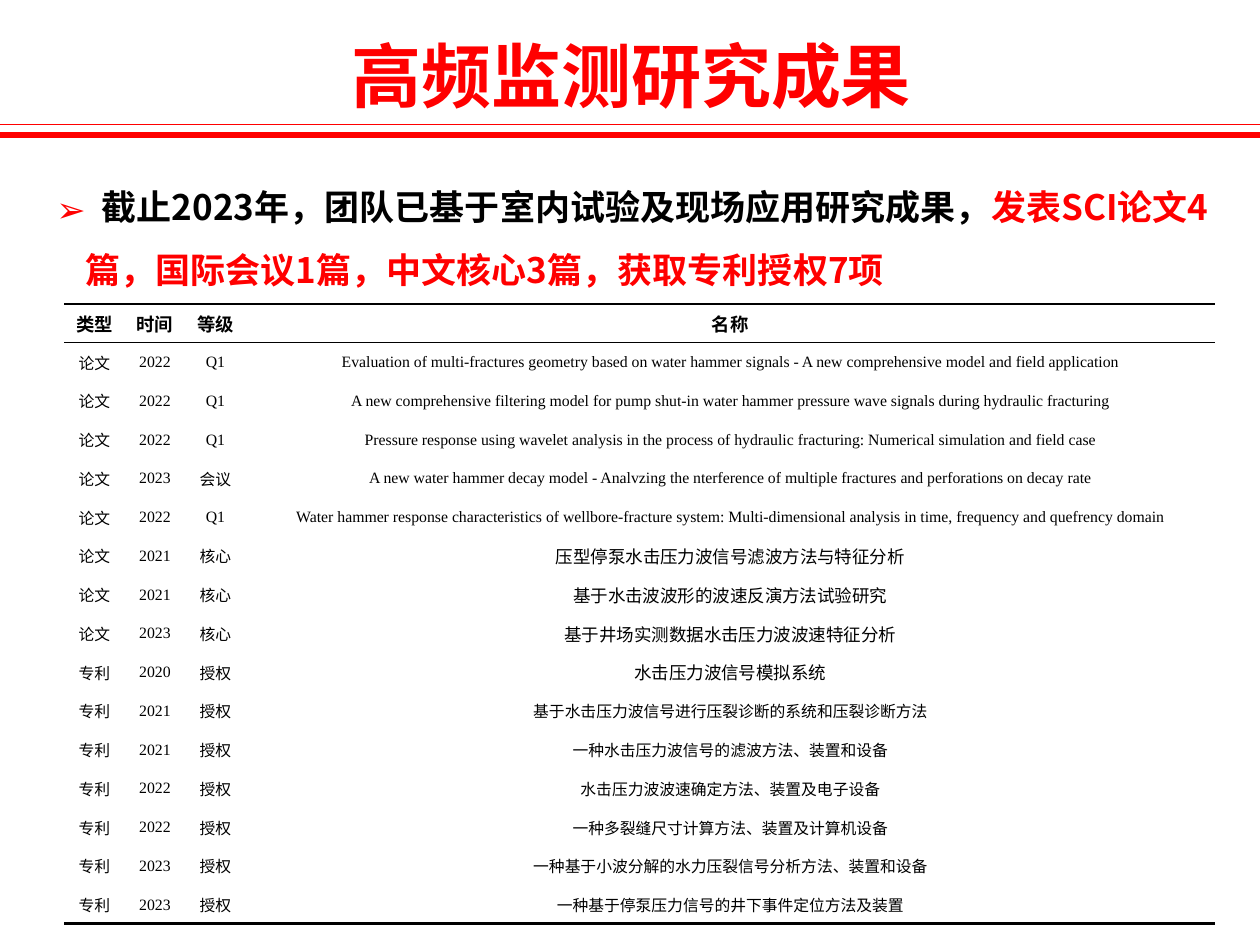
"""Build the slide listing the research results of high-frequency monitoring."""
from pptx import Presentation
from pptx.dml.color import RGBColor
from pptx.enum.shapes import MSO_CONNECTOR as Connector
from pptx.enum.text import MSO_ANCHOR as Anchor, PP_ALIGN as Align
from pptx.oxml.ns import qn
from pptx.util import Inches, Pt
from lxml.etree import SubElement

COLORS = {"accent": "FF0000", "ink": "000000"}
HAN_FONT = "Noto Sans CJK SC"
TITLE_FORMAT = {"name": HAN_FONT, "size": Pt(40), "bold": True}
SUMMARY_FORMAT = {"name": HAN_FONT, "size": Pt(20), "bold": True}
HEADER_FORMAT = {"name": "Times New Roman", "size": Pt(10.5), "bold": True}
ENTRY_FORMAT = {"name": "Times New Roman", "size": Pt(9), "bold": False}
LARGE_NAME_FORMAT = {**ENTRY_FORMAT, "size": Pt(10)}
CELL_FORMAT = {
    "margin_left": Inches(0.01), "margin_right": Inches(0.01),
    "margin_top": Inches(0.01), "margin_bottom": 0,
    "vertical_anchor": Anchor.MIDDLE,
}
COLUMN_WIDTHS = (0.48, 0.48, 0.48, 7.69)
HEADER = ("类型", "时间", "等级", "名称")
RESULTS = (
    ("论文", "2022", "Q1", "Evaluation of multi-fractures geometry based on water hammer signals"
     " - A new comprehensive model and field application"),
    ("论文", "2022", "Q1", "A new comprehensive filtering model for pump shut-in water hammer"
     " pressure wave signals during hydraulic fracturing"),
    ("论文", "2022", "Q1", "Pressure response using wavelet analysis in the process of hydraulic"
     " fracturing: Numerical simulation and field case"),
    ("论文", "2023", "会议", "A new water hammer decay model - Analvzing the nterference of"
     " multiple fractures and perforations on decay rate"),
    ("论文", "2022", "Q1", "Water hammer response characteristics of wellbore-fracture system:"
     " Multi-dimensional analysis in time, frequency and quefrency domain"),
    ("论文", "2021", "核心", "压型停泵水击压力波信号滤波方法与特征分析"),
    ("论文", "2021", "核心", "基于水击波波形的波速反演方法试验研究"),
    ("论文", "2023", "核心", "基于井场实测数据水击压力波波速特征分析"),
    ("专利", "2020", "授权", "水击压力波信号模拟系统"),
    ("专利", "2021", "授权", "基于水击压力波信号进行压裂诊断的系统和压裂诊断方法"),
    ("专利", "2021", "授权", "一种水击压力波信号的滤波方法、装置和设备"),
    ("专利", "2022", "授权", "水击压力波波速确定方法、装置及电子设备"),
    ("专利", "2022", "授权", "一种多裂缝尺寸计算方法、装置及计算机设备"),
    ("专利", "2023", "授权", "一种基于小波分解的水力压裂信号分析方法、装置和设备"),
    ("专利", "2023", "授权", "一种基于停泵压力信号的井下事件定位方法及装置"),
)
LARGE_NAME_ROWS = range(6, 10)


def apply_format(target, values):
    for attribute, value in values.items():
        setattr(target, attribute, value)


def add_run(paragraph, text, values, color):
    run = paragraph.add_run()
    run.text = text
    apply_format(run.font, values)
    run.font.color.rgb = RGBColor.from_string(COLORS[color])
    SubElement(run.font._element, qn("a:ea"), typeface=HAN_FONT)


def add_rule(slide, top, weight):
    rule = slide.shapes.add_connector(
        Connector.STRAIGHT, 0, Inches(top), Inches(10), Inches(top))
    rule.line.color.rgb = RGBColor.from_string(COLORS["accent"])
    rule.line.width = Pt(weight)
    SubElement(rule._element.spPr, qn("a:effectLst"))


def add_paragraph_box(slide, left, top, width, height):
    box = slide.shapes.add_textbox(Inches(left), Inches(top), Inches(width), Inches(height))
    box.text_frame.word_wrap = True
    return box.text_frame.paragraphs[0]


def add_bullet(paragraph, char, hang, first_line):
    properties = paragraph._p.get_or_add_pPr()
    properties.set("marL", str(Inches(hang)))
    properties.set("indent", str(-Inches(hang)))
    bullet_color = SubElement(properties, qn("a:buClr"))
    SubElement(bullet_color, qn("a:srgbClr"), val=COLORS["accent"])
    SubElement(properties, qn("a:buFont"), typeface=HAN_FONT)
    SubElement(properties, qn("a:buChar"), char=char)
    tabs = SubElement(properties, qn("a:tabLst"))
    SubElement(tabs, qn("a:tab"), pos=str(Inches(first_line)), algn="l")


def set_borders(cell, weights):
    properties = cell._tc.get_or_add_tcPr()
    for side in ("L", "R", "T", "B"):
        weight = weights.get(side, 0)
        border = SubElement(properties, qn(f"a:ln{side}"), w=str(Pt(weight)))
        if weight:
            fill = SubElement(border, qn("a:solidFill"))
            SubElement(fill, qn("a:srgbClr"), val=COLORS["ink"])
        else:
            SubElement(border, qn("a:noFill"))


def fill_cell(cell, text, values, borders):
    apply_format(cell, CELL_FORMAT)
    set_borders(cell, borders)
    cell.fill.background()
    paragraph = cell.text_frame.paragraphs[0]
    paragraph.alignment = Align.CENTER
    add_run(paragraph, text, values, "ink")


def add_results_table(slide):
    rows = (HEADER, *RESULTS)
    table = slide.shapes.add_table(
        len(rows), len(HEADER), Inches(0.51), Inches(2.41),
        Inches(sum(COLUMN_WIDTHS)), Inches(4.92)).table
    apply_format(table, {"first_row": False, "horz_banding": False})
    for column, width in zip(table.columns, COLUMN_WIDTHS):
        column.width = Inches(width)
    borders = {0: {"T": 1.5, "B": 1}, 1: {"T": 1}, len(rows) - 1: {"B": 1.5}}
    for r, row in enumerate(rows):
        row_format = ENTRY_FORMAT if r else HEADER_FORMAT
        name_format = LARGE_NAME_FORMAT if r in LARGE_NAME_ROWS else row_format
        for c, text in enumerate(row):
            values = name_format if HEADER[c] == "名称" else row_format
            fill_cell(table.cell(r, c), text, values, borders.get(r, {}))


def main():
    deck = Presentation()
    apply_format(deck, {"slide_width": Inches(10), "slide_height": Inches(7.5)})
    slide = deck.slides.add_slide(deck.slide_layouts[6])
    add_rule(slide, 0.99, 0.75)
    add_rule(slide, 1.07, 3.25)

    title = add_paragraph_box(slide, 0.01, 0.21, 10, 0.77)
    title.alignment = Align.CENTER
    add_run(title, "高频监测研究成果", TITLE_FORMAT, "accent")

    summary = add_paragraph_box(slide, 0.35, 1.26, 9.47, 1.11)
    add_bullet(summary, "➢", 0.23, 0.36)
    summary.line_spacing = 1.5
    add_run(summary, "\t截止2023年，团队已基于室内试验及现场应用研究成果，", SUMMARY_FORMAT, "ink")
    add_run(summary, "发表SCI论文4篇，国际会议1篇，中文核心3篇，获取专利授权7项",
            SUMMARY_FORMAT, "accent")

    add_results_table(slide)
    deck.save("out.pptx")


if __name__ == "__main__":
    main()
